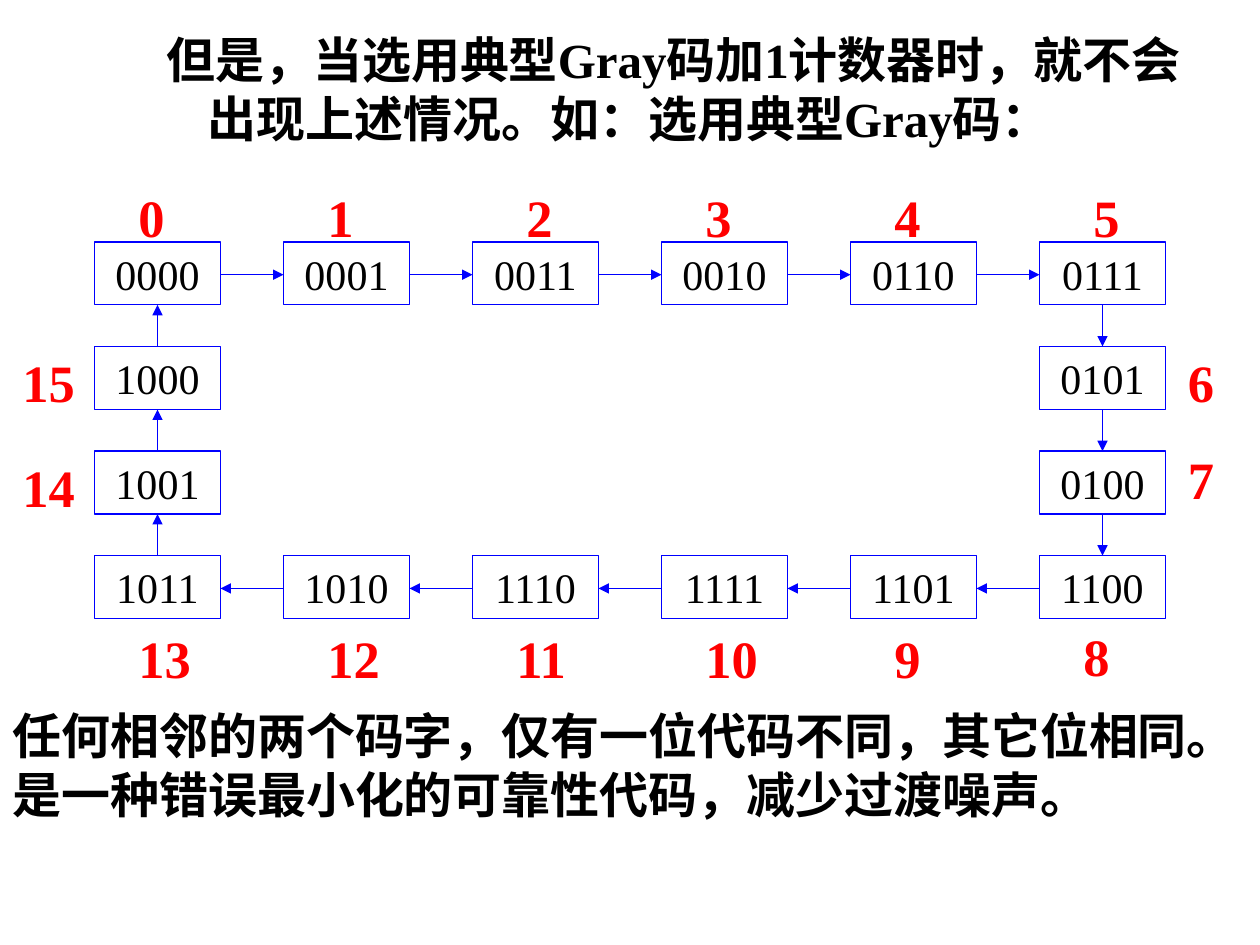
from lxml import etree
from pptx import Presentation
from pptx.dml.color import RGBColor
from pptx.enum.shapes import MSO_CONNECTOR, MSO_SHAPE
from pptx.enum.text import MSO_ANCHOR, MSO_AUTO_SIZE, PP_ALIGN
from pptx.oxml.ns import qn
from pptx.util import Inches, Pt

RECT, LINE = MSO_SHAPE.RECTANGLE, MSO_CONNECTOR.STRAIGHT
LEFT, MID = PP_ALIGN.LEFT, PP_ALIGN.CENTER
FONT = "Times New Roman"
HEX = {"text": "000000", "line": "0000FF", "count": "FF0000"}

TITLE = "但是，当选用典型Gray码加1计数器时，就不会\v出现上述情况。如：选用典型Gray码："
NOTE = ("任何相邻的两个码字，仅有一位代码不同，其它位相同。"
        "是一种错误最小化的可靠性代码，减少过渡噪声。")

# Gray codes in counting order, clockwise round the ring
CODES = ["0000", "0001", "0011", "0010", "0110", "0111", "0101", "0100",
         "1100", "1101", "1111", "1110", "1010", "1011", "1001", "1000"]
# Small shifts of single count labels
NUDGE = {2: (0.08, 0), 5: (0.08, 0), 7: (0, -0.06), 8: (0, -0.02)}

COLS, ROWS = 6, 4
X0, Y0, DX, DY = 0.75, 1.92, 1.5, 0.83
BOX_W, BOX_H = 1, 0.5
FLOW_Y = 0.26  # height of the sideways arrows below a box top


def color(name):
    return RGBColor.from_string(HEX[name])


def write(shape, text, size, name, bold=False, align=LEFT, anchor=MSO_ANCHOR.TOP):
    frame = shape.text_frame
    frame.word_wrap = True
    frame.auto_size = MSO_AUTO_SIZE.NONE
    frame.vertical_anchor = anchor
    frame.text = text
    para = frame.paragraphs[0]
    para.alignment = align
    para.space_before = Pt(0)
    for run in para.runs:
        font = run.font
        font.name, font.size, font.bold = FONT, Pt(size), bold
        font.color.rgb = color(name)
    return para


def place(shape, *box):
    shape.left, shape.top, shape.width, shape.height = map(Inches, box)


def indent(para, first):
    """Set a first-line indent in inches, with no bullet."""
    props = para._p.get_or_add_pPr()
    props.set("marL", "0")
    props.set("indent", str(Inches(first)))
    etree.SubElement(props, qn("a:buNone"))


def arrow(shapes, *ends):
    link = shapes.add_connector(LINE, *map(Inches, ends))
    link.line.color.rgb = color("line")
    link.line.width = Pt(0.75)
    etree.SubElement(link.line._get_or_add_ln(), qn("a:tailEnd"), type="triangle")
    etree.SubElement(link._element.spPr, qn("a:effectLst"))


def cell(n):
    """Column and row of step n on the ring."""
    right, down = COLS - 1, ROWS - 1
    if n <= right:
        return n, 0
    if n <= right + down:
        return right, n - right
    if n <= 2 * right + down:
        return 2 * right + down - n, down
    return 0, 2 * (right + down) - n


def spot(n):
    col, row = cell(n % len(CODES))
    return X0 + col * DX, Y0 + row * DY


def join(shapes, n):
    """Draw the arrow from step n to the next one."""
    (x, y), (u, v) = spot(n), spot(n + 1)
    if u != x:
        start, end = (x + BOX_W, u) if u > x else (x, u + BOX_W)
        arrow(shapes, start, y + FLOW_Y, end, v + FLOW_Y)
    else:
        start, end = (y + BOX_H, v) if v > y else (y, v + BOX_H)
        arrow(shapes, x + BOX_W / 2, start, u + BOX_W / 2, end)


def label(shapes, n):
    x, y = spot(n)
    col, row = cell(n)
    if row == 0:
        x, y = x + 0.25, y - 0.5
    elif row == ROWS - 1:
        x, y = x + 0.25, y + 0.51
    else:
        x, y = (x - 0.67 if col == 0 else x + 1.08), y - 0.02
    dx, dy = NUDGE.get(n, (0, 0))
    wide = 0.42 if n < 9 else 0.67
    box = shapes.add_textbox(*map(Inches, (x + dx, y + dy, wide, 0.6)))
    write(box, str(n), 30, "count", bold=True)


def main():
    deck = Presentation()
    deck.slide_width, deck.slide_height = Inches(10), Inches(7.5)
    slide = deck.slides.add_slide(deck.slide_layouts[1])
    shapes = slide.shapes

    place(shapes.title, 0.33, 0.08, 9.33, 1.25)
    indent(write(shapes.title, TITLE, 28, "text", True, MID, MSO_ANCHOR.MIDDLE), 0.7)
    body = slide.placeholders[1]
    place(body, 0, 5.55, 9.69, 1.5)
    indent(write(body, NOTE, 28, "text", True), 0)

    for n, code in enumerate(CODES):
        box = shapes.add_shape(RECT, *map(Inches, (*spot(n), BOX_W, BOX_H)))
        box.shadow.inherit = False
        box.fill.background()
        box.line.color.rgb = color("line")
        box.line.width = Pt(0.75)
        write(box, code, 24, "text", align=MID)
        join(shapes, n)
        label(shapes, n)

    deck.save("out.pptx")


if __name__ == "__main__":
    main()
